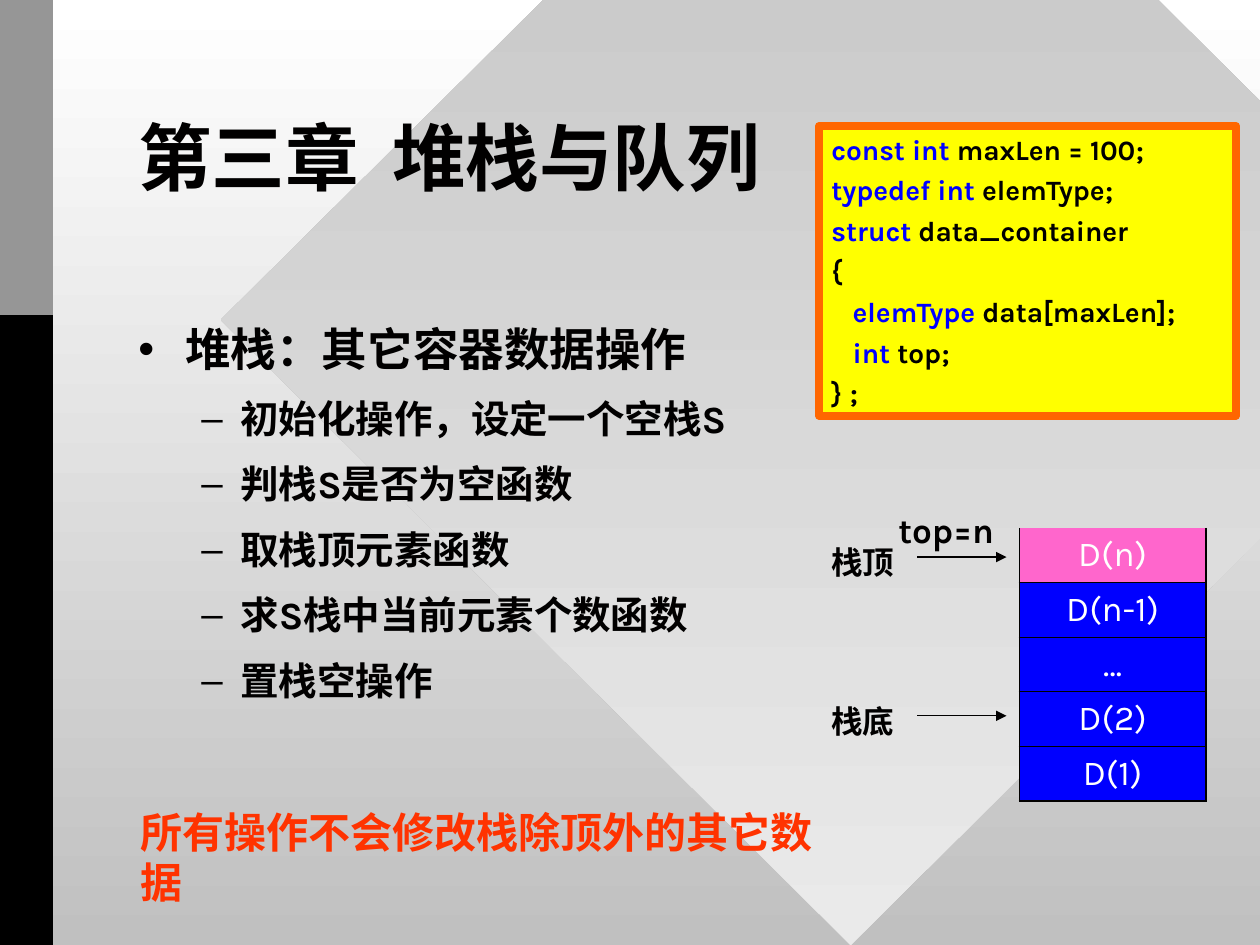
import pptx
import pptx.dml.color
import pptx.enum.dml
import pptx.enum.lang
import pptx.enum.shapes
import pptx.enum.text
import pptx.oxml
import pptx.oxml.ns
import pptx.util
from lxml import etree

Cm = pptx.util.Cm
Pt = pptx.util.Pt
RGBColor = pptx.dml.color.RGBColor
MSO_SHAPE = pptx.enum.shapes.MSO_SHAPE
MSO_ANCHOR = pptx.enum.text.MSO_ANCHOR
PP_ALIGN = pptx.enum.text.PP_ALIGN
qn = pptx.oxml.ns.qn

FONT = "Karla"
INK = RGBColor(0x01, 0x00, 0x00)
BLACK = RGBColor(0x00, 0x00, 0x00)
WHITE = RGBColor(0xFF, 0xFF, 0xFF)
SILVER = RGBColor(0xC0, 0xC0, 0xC0)
MIST = RGBColor(0xEA, 0xEA, 0xEA)
GREY = RGBColor(0x96, 0x96, 0x96)
YELLOW = RGBColor(0xFF, 0xFF, 0x00)
ORANGE = RGBColor(0xFF, 0x66, 0x00)
RED = RGBColor(0xFF, 0x33, 0x00)
BLUE = RGBColor(0x00, 0x00, 0xFF)
PINK = RGBColor(0xFF, 0x66, 0xCC)

OPERATIONS = ["初始化操作，设定一个空栈S", "判栈S是否为空函数", "取栈顶元素函数",
              "求S栈中当前元素个数函数", "置栈空操作"]
# Each line of code: indent in cm, then its runs
CODE = [
    (0, [("const int ", BLUE), ("maxLen = 100;", INK)]),
    (0, [("typedef int ", BLUE), ("elemType;", INK)]),
    (0, [("struct ", BLUE), ("data_container", INK)]),
    (0, [("{", INK)]),
    (0.43, [("elemType ", BLUE), ("data[maxLen];", BLACK)]),
    (0.43, [("int", BLUE), (" top;", BLACK)]),
    (0, [("} ;", INK)]),
]
STACK = ["D(n)", "D(n-1)", "…", "D(2)", "D(1)"]


def set_gradient(fill, top, bottom):
    """Fill with a gradient that runs straight down."""
    fill.gradient()
    fill.gradient_angle = 270
    for stop, color, position in zip(fill.gradient_stops, (top, bottom), (0, 1)):
        stop.color.rgb = color
        stop.position = position


def add_run(p, text, size, color=INK, bold=True):
    """Append one formatted run to a paragraph."""
    r = p.add_run()
    r.text = text
    r.font.name = FONT
    r.font.size = Pt(size)
    r.font.bold = bold
    r.font.color.rgb = color
    r.font.language_id = pptx.enum.lang.MSO_LANGUAGE_ID.SIMPLIFIED_CHINESE


def next_paragraph(tf, i):
    """Return the first paragraph for i == 0, otherwise a new one."""
    return tf.paragraphs[0] if i == 0 else tf.add_paragraph()


def add_plain_shape(s, kind, x, y, w, h):
    """Add a preset shape without shadow or outline."""
    sp = s.shapes.add_shape(kind, Cm(x), Cm(y), Cm(w), Cm(h))
    sp.shadow.inherit = False
    sp.line.fill.background()
    return sp


def add_bar(s, height, color):
    """Add a bar at the left edge of the slide."""
    sp = add_plain_shape(s, MSO_SHAPE.RECTANGLE, 0, 0, 1.07, height)
    sp.fill.solid()
    sp.fill.fore_color.rgb = color


def add_text_box(s, x, y, w, h):
    """Add a wrapping text box and return its text frame."""
    tf = s.shapes.add_textbox(Cm(x), Cm(y), Cm(w), Cm(h)).text_frame
    tf.word_wrap = True
    return tf


def add_label(s, text, x, y, w, h, size, color=INK):
    """Add a one-line label that fits its text."""
    tf = add_text_box(s, x, y, w, h)
    tf.word_wrap = False
    tf.auto_size = pptx.enum.text.MSO_AUTO_SIZE.SHAPE_TO_FIT_TEXT
    p = tf.paragraphs[0]
    p.space_before = Pt(size / 4)
    add_run(p, text, size, color)


def add_title(s, text):
    """Add the chapter title."""
    tf = add_text_box(s, 2.54, 1.7, 20.32, 3.18)
    tf.vertical_anchor = MSO_ANCHOR.MIDDLE
    p = tf.paragraphs[0]
    p.line_spacing = 0.85
    add_run(p, text, 42)


def set_bullet(p, char, left, hanging):
    """Give a paragraph a bullet and a hanging indent in cm."""
    pPr = p._p.get_or_add_pPr()
    pPr.set("marL", str(Cm(left)))
    pPr.set("indent", str(-Cm(hanging)))
    color = etree.SubElement(pPr, qn("a:buClr"))
    etree.SubElement(color, qn("a:srgbClr")).set("val", str(INK))
    etree.SubElement(pPr, qn("a:buFont")).set("typeface", "Arial")
    etree.SubElement(pPr, qn("a:buChar")).set("char", char)


def add_operations(s, heading, items):
    """Add the bulleted heading with its list of operations."""
    tf = add_text_box(s, 2.54, 6.35, 12.75, 10.16)
    for i, text in enumerate([heading] + items):
        p = next_paragraph(tf, i)
        p.level = 1 if i else 0
        p.space_before = Pt(11 if i else 19.5)
        if i:
            set_bullet(p, "–", 2.06, 0.79)
        else:
            set_bullet(p, "•", 0.95, 0.95)
        add_run(p, text, 22 if i else 26)


def add_code(s, lines):
    """Add the framed code listing."""
    sp = add_plain_shape(s, MSO_SHAPE.RECTANGLE, 16.51, 2.54, 8.41, 5.84)
    sp.fill.solid()
    sp.fill.fore_color.rgb = YELLOW
    sp.line.color.rgb = ORANGE
    sp.line.width = Pt(4.5)
    tf = sp.text_frame
    tf.word_wrap = True
    tf.vertical_anchor = MSO_ANCHOR.TOP
    for i, (indent, runs) in enumerate(lines):
        p = next_paragraph(tf, i)
        p.alignment = PP_ALIGN.LEFT
        p.space_before = Pt(4)
        p._p.get_or_add_pPr().set("marL", str(Cm(indent)))
        for text, color in runs:
            add_run(p, text, 16, color)


def set_border(cell, side, width):
    """Draw one cell border; a width of 0 hides it."""
    ln = etree.Element(qn("a:ln" + side), w=str(Pt(width)))
    if width:
        fill = etree.SubElement(ln, qn("a:solidFill"))
        etree.SubElement(fill, qn("a:srgbClr")).set("val", str(INK))
    else:
        etree.SubElement(ln, qn("a:noFill"))
    cell._tc.get_or_add_tcPr().append(ln)


def add_stack(s, items):
    """Add the stack as a one-column table, top element first."""
    row_height = 1.1
    frame = s.shapes.add_table(len(items), 1, Cm(20.55), Cm(10.64),
                               Cm(3.76), Cm(row_height * len(items)))
    table = frame.table
    table.first_row = table.horz_banding = False
    last = len(items) - 1
    for i, text in enumerate(items):
        table.rows[i].height = Cm(row_height)
        cell = table.cell(i, 0)
        cell.vertical_anchor = MSO_ANCHOR.MIDDLE
        widths = {"L": 1.08, "R": 1.08, "T": 0.45 if i else 0,
                  "B": 1.08 if i == last else 0.45}
        for side, width in widths.items():
            set_border(cell, side, width)
        cell.fill.solid()
        cell.fill.fore_color.rgb = BLUE if i else PINK
        p = cell.text_frame.paragraphs[0]
        p.alignment = PP_ALIGN.CENTER
        add_run(p, text, 20, WHITE, bold=False)


def add_arrow(s, y):
    """Add a pointer arrow towards the stack."""
    cn = s.shapes.add_connector(pptx.enum.shapes.MSO_CONNECTOR.STRAIGHT,
                                Cm(18.49), Cm(y), Cm(20.29), Cm(y))
    cn.line.color.rgb = INK
    cn.line.width = Pt(0.75)
    etree.SubElement(cn.line._get_or_add_ln(), qn("a:tailEnd")).set("type", "triangle")
    etree.SubElement(cn._element.spPr, qn("a:effectLst"))


def main():
    """Build and save the slide."""
    prs = pptx.Presentation()
    prs.slide_width, prs.slide_height = Cm(25.4), Cm(19.05)
    s = prs.slides.add_slide(prs.slide_layouts[6])
    set_gradient(s.background.fill, WHITE, SILVER)
    diamond = add_plain_shape(s, MSO_SHAPE.DIAMOND, 4.45, -6.15, 25.4, 25.2)
    set_gradient(diamond.fill, SILVER, MIST)
    add_bar(s, 19.05, BLACK)
    add_bar(s, 6.35, GREY)
    add_title(s, "第三章  堆栈与队列")
    add_operations(s, "堆栈：其它容器数据操作", OPERATIONS)
    add_code(s, CODE)
    add_stack(s, STACK)
    for text, y in (("栈底", 14.02), ("栈顶", 10.82)):
        add_label(s, text, 16.51, y, 1.78, 1.02, 18)
        add_arrow(s, y + 0.41)
    add_label(s, "top=n", 17.86, 10.13, 2.57, 1.12, 20)
    add_label(s, "所有操作不会修改栈除顶外的其它数据", 2.59, 16.13, 14.88, 1.27, 24, RED)
    prs.save("out.pptx")


main()
